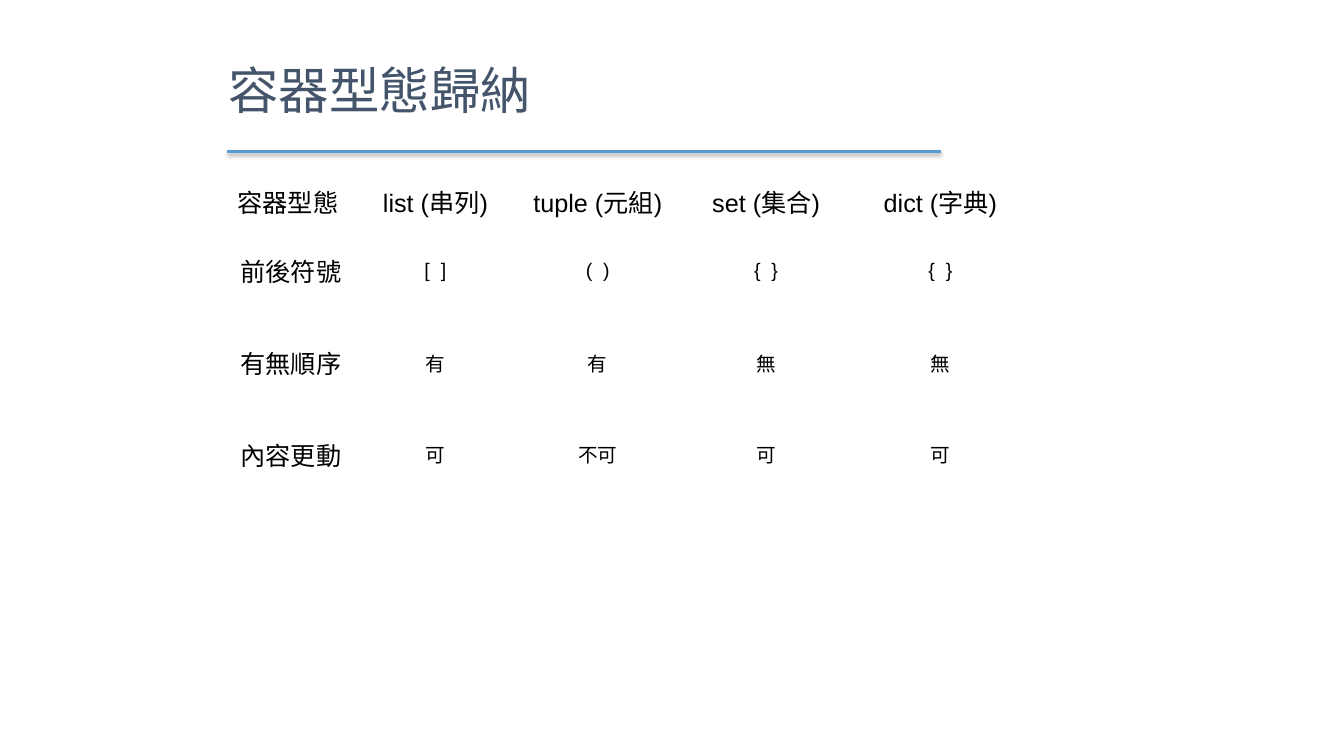
from lxml import etree
from pptx import Presentation
from pptx.dml.color import RGBColor
from pptx.enum import shapes, text
from pptx.oxml import ns
from pptx.util import Pt

TITLE = "容器型態歸納"
ROWS = [
    ["容器型態", "list (串列)", "tuple (元組)", "set (集合)", "dict (字典)"],
    ["前後符號", "[  ]", "(  )", "{  }", "{  }"],
    ["有無順序", "有", "有", "無", "無"],
    ["內容更動", "可", "不可", "可", "可"],
]
COLORS = {"title": "44546A", "text": "000000", "rule": "5B9BD5"}
WIDTHS = [90.5, 116, 116, 124.5, 124.5]
HEIGHTS = [18, 65.5, 65.5, 65.5]
HEAD, BODY = 18, 14


def color(name):
    return RGBColor.from_string(COLORS[name])


def apply(item, values):
    for name, value in values.items():
        setattr(item, name, value)


def write(frame, words, size, tint, align):
    para = frame.paragraphs[0]
    para.alignment = align
    run = para.add_run()
    run.text = words
    apply(run.font, {"name": "Arial", "size": Pt(size), "bold": False})
    run.font.color.rgb = color(tint)
    return para


def add_title(slide):
    title = slide.shapes.title
    apply(title, {"left": Pt(156), "top": Pt(21.5), "width": Pt(600), "height": Pt(90)})
    apply(title.text_frame, {
        "auto_size": text.MSO_AUTO_SIZE.NONE,
        "vertical_anchor": text.MSO_ANCHOR.MIDDLE,
        "word_wrap": True,
    })
    para = write(title.text_frame, TITLE, 36, "title", text.PP_ALIGN.LEFT)
    para.line_spacing = 0.9


def add_grid(slide):
    table = slide.shapes.add_table(
        len(ROWS), len(WIDTHS), Pt(162.5), Pt(127.5), Pt(sum(WIDTHS)), Pt(sum(HEIGHTS))
    ).table
    apply(table, {"first_row": False, "horz_banding": False})
    for col, width in zip(table.columns, WIDTHS):
        col.width = Pt(width)
    for row, height in zip(table.rows, HEIGHTS):
        row.height = Pt(height)
    for r, row in enumerate(ROWS):
        for c, words in enumerate(row):
            cell = table.cell(r, c)
            cell.fill.background()
            cell.vertical_anchor = text.MSO_ANCHOR.MIDDLE
            size = HEAD if r == 0 or c == 0 else BODY
            align = text.PP_ALIGN.LEFT if r == c == 0 else text.PP_ALIGN.CENTER
            write(cell.text_frame, words, size, "text", align)


def add_rule(slide):
    rule = slide.shapes.add_connector(
        shapes.MSO_CONNECTOR.STRAIGHT, Pt(162), Pt(108), Pt(672), Pt(108)
    )
    rule.line.color.rgb = color("rule")
    rule.line.width = Pt(2)
    effects = etree.SubElement(rule._element.spPr, ns.qn("a:effectLst"))
    shadow = etree.SubElement(
        effects, ns.qn("a:outerShdw"),
        blurRad=str(Pt(3.1)), dist=str(Pt(1.6)), dir="5400000", rotWithShape="0",
    )
    tint = etree.SubElement(shadow, ns.qn("a:srgbClr"), val=COLORS["text"])
    etree.SubElement(tint, ns.qn("a:alpha"), val="37000")


def main():
    deck = Presentation()
    apply(deck, {"slide_width": Pt(960), "slide_height": Pt(540)})
    slide = deck.slides.add_slide(deck.slide_layouts[5])
    add_title(slide)
    add_grid(slide)
    add_rule(slide)
    deck.save("out.pptx")


if __name__ == "__main__":
    main()
